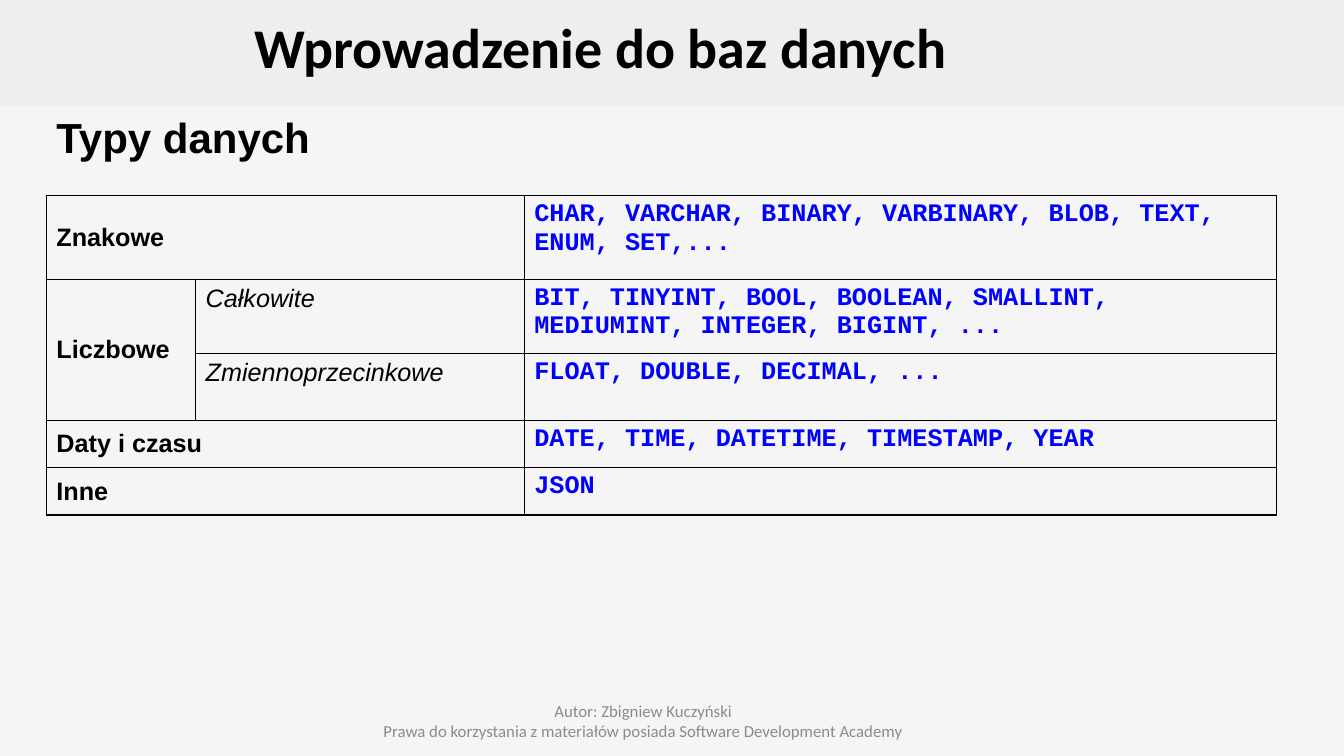
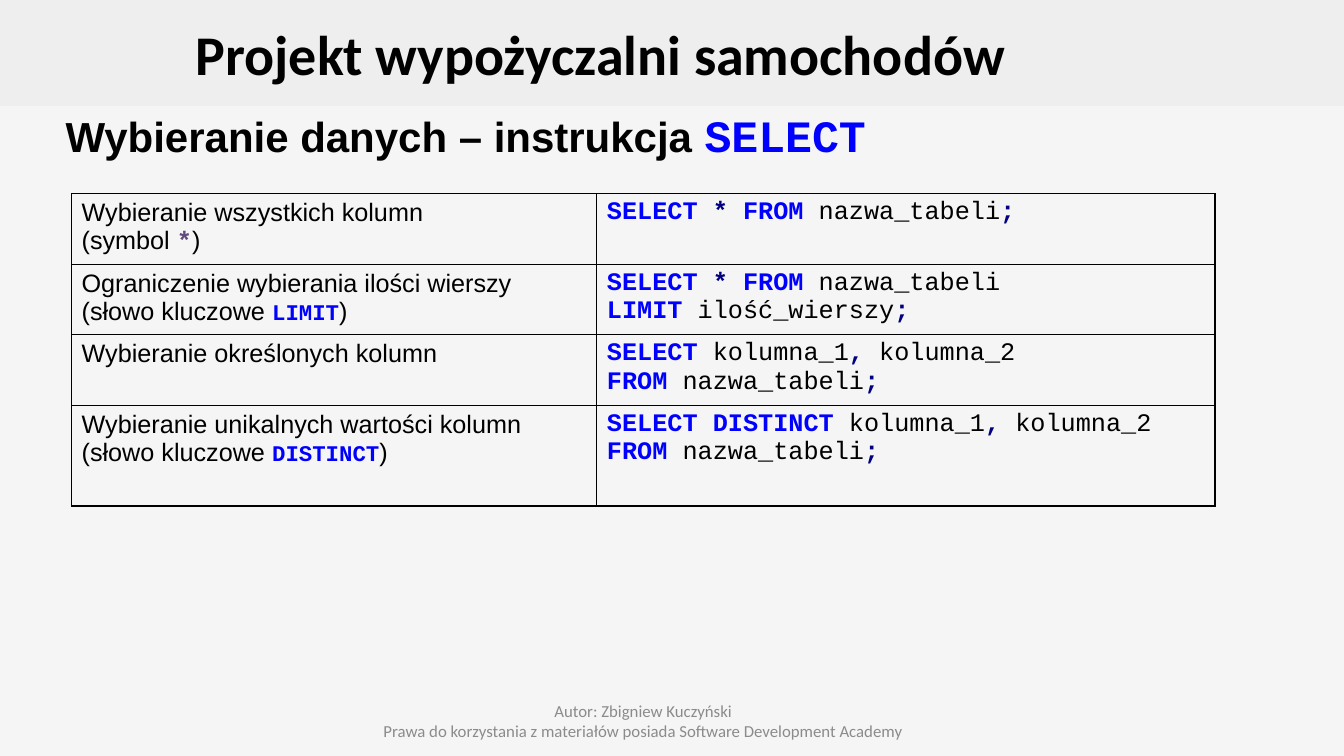
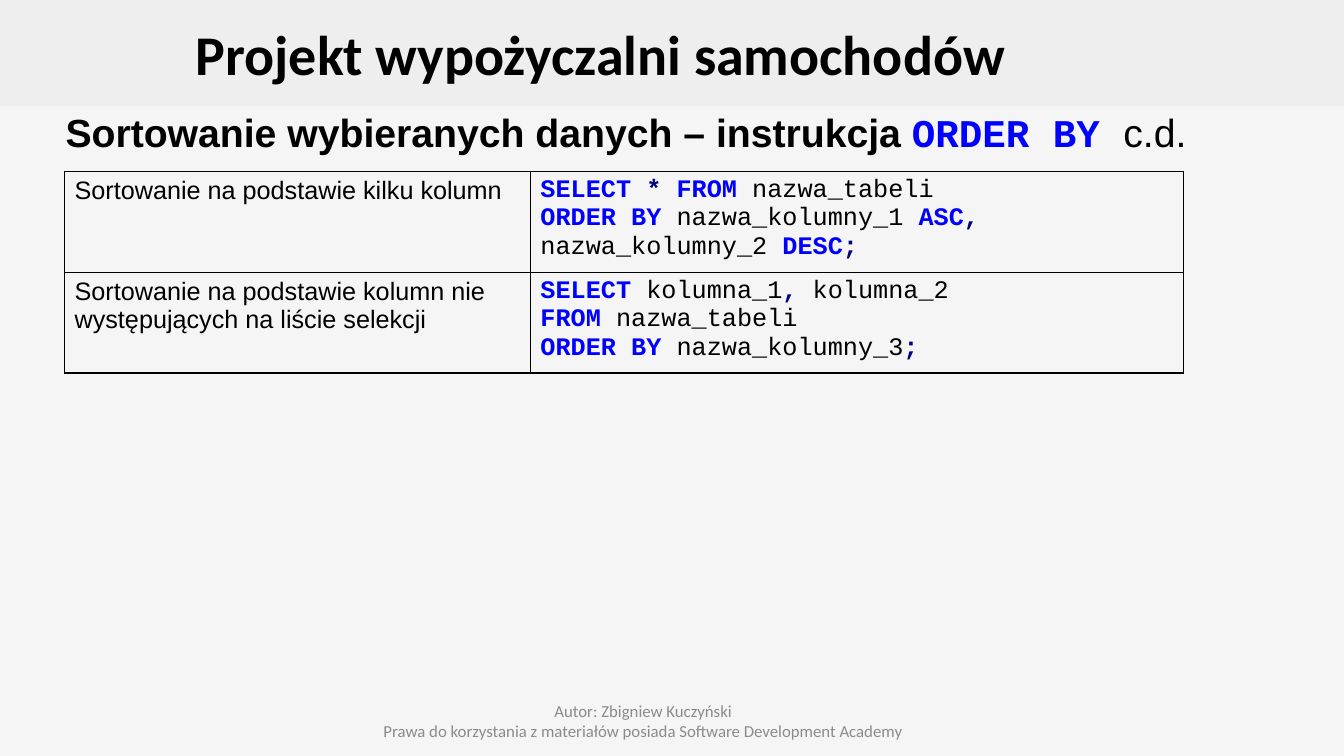
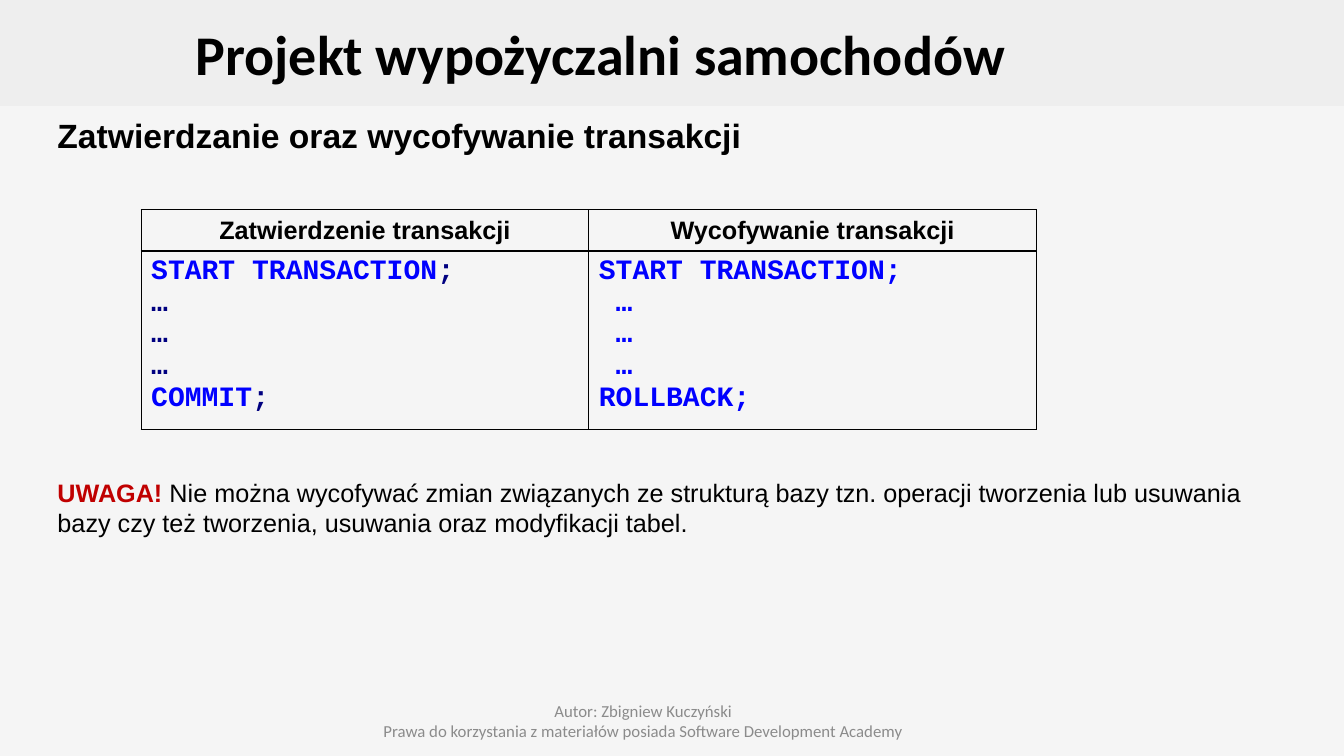
import itertools

import pptx
import pptx.dml.color
import pptx.enum.shapes
import pptx.enum.text
import pptx.oxml
import pptx.oxml.ns
import pptx.util

Inches = pptx.util.Inches
Pt = pptx.util.Pt
MID = pptx.enum.text.MSO_ANCHOR.MIDDLE
MID_ALIGN = pptx.enum.text.PP_ALIGN.CENTER

HUES = {
    "page": "F5F5F5", "band": "EEEEEE", "ink": "000000", "blue": "0000FF",
    "navy": "000080", "plum": "604A7B", "red": "C00000", "gray": "8B8B8B",
}


def style(face, hue, bold=False, italic=False):
    """Return the format of one kind of text."""
    return {"name": face, "hue": hue, "bold": bold, "italic": italic}


STYLES = {
    "title": style("Calibri", "ink", bold=True),
    "foot": style("Calibri", "gray"),
    "text": style("Arial", "ink"),
    "bold": style("Arial", "ink", bold=True),
    "slant": style("Arial", "ink", italic=True),
    "alert": style("Arial", "red", bold=True),
    "key": style("Courier New", "blue", bold=True),
    "op": style("Courier New", "navy", bold=True),
    "star": style("Courier New", "plum", bold=True),
    "name": style("Courier New", "ink"),
}
PROJECT = "Projekt wypożyczalni samochodów"
FOOTER = ["Autor: Zbigniew Kuczyński",
          "Prawa do korzystania z materiałów posiada Software Development Academy"]


def rgb(hue):
    """Return the named colour."""
    return pptx.dml.color.RGBColor.from_string(HUES[hue])


def sql(line):
    """Split a line of SQL into runs of keywords, operators and names."""
    parts = []
    for word in line.split(" "):
        core = word.rstrip(",;")
        kind = "key" if core.isupper() else "op" if core in "*…" else "name"
        tail = word[len(core):]
        parts += [(kind, core), ("op", tail)] if tail else [(kind, core)]
        parts.append((parts[-1][0], " "))
    groups = itertools.groupby(parts[:-1], key=lambda part: part[0])
    return [(kind, "".join(text for _, text in group)) for kind, group in groups]


def code(*lines):
    """Return a cell of SQL lines."""
    return [sql(line) for line in lines]


def plain(kind, *lines):
    """Return a cell of lines in one style."""
    return [[(kind, line)] for line in lines]


def hint(first, kind, word, size):
    """Return a cell with a line and a marked term in brackets below it."""
    lead = "(symbol " if kind == "star" else "(słowo kluczowe "
    return [[("text", first)],
            [("text", lead), (kind, word, size), ("text", ")")]]


def put(frame, lines, size, align=None):
    """Write lines of styled runs into a text frame."""
    for i, line in enumerate(lines):
        para = frame.add_paragraph() if i else frame.paragraphs[0]
        para.space_before = Pt(0)
        para.alignment = align
        for kind, text, *own in line:
            run = para.add_run()
            run.text = text
            run.font.size = Pt(own[0] if own else size)
            for key, value in STYLES[kind].items():
                if key == "hue":
                    run.font.color.rgb = rgb(value)
                else:
                    setattr(run.font, key, value)


def place(shape, box):
    """Move a shape to its box."""
    for key, value in zip(("left", "top", "width", "height"), box):
        setattr(shape, key, Inches(value))


def set_frame(frame, **values):
    """Set the shared frame format, with more values on top."""
    base = {"word_wrap": True, "auto_size": pptx.enum.text.MSO_AUTO_SIZE.NONE}
    for key, value in {**base, **values}.items():
        setattr(frame, key, value)


def add_title(slide, text, box):
    """Fill the title placeholder."""
    place(slide.shapes.title, box)
    frame = slide.shapes.title.text_frame
    set_frame(frame, vertical_anchor=MID)
    put(frame, plain("title", text), 40, MID_ALIGN)


def add_body(slide, lines, size, box, gap=0):
    """Fill the body placeholder, with a gap between its paragraphs."""
    body = slide.placeholders[1]
    place(body, box)
    set_frame(body.text_frame)
    put(body.text_frame, lines, size)
    for i, para in enumerate(body.text_frame.paragraphs):
        para.space_before = Pt(gap if i else 0)
        props = para._p.get_or_add_pPr()
        props.set("marL", "0")
        props.set("indent", "0")
        props.append(pptx.oxml.parse_xml(
            f'<a:buNone {pptx.oxml.ns.nsdecls("a")}/>'))


def add_footer(slide, box):
    """Add the footer lines."""
    foot = slide.shapes.add_textbox(*map(Inches, box))
    set_frame(foot.text_frame, vertical_anchor=MID)
    put(foot.text_frame, plain("foot", *FOOTER), 12, MID_ALIGN)


def frame_cell(cell):
    """Clear the fill of a cell and rule its four sides."""
    cell.fill.background()
    props = cell._tc.get_or_add_tcPr()
    for i, side in enumerate("LRTB"):
        props.insert(i, pptx.oxml.parse_xml(
            f'<a:ln{side} {pptx.oxml.ns.nsdecls("a")} w="12700"><a:solidFill>'
            f'<a:srgbClr val="{HUES["ink"]}"/></a:solidFill></a:ln{side}>'))


def add_grid(slide, spot, cols, rows, cells, spans=(), size=18, head=False):
    """Add a ruled table whose cells hold lines of runs."""
    box = (*spot, sum(cols), sum(rows))
    table = slide.shapes.add_table(len(rows), len(cols), *map(Inches, box)).table
    table.first_row = table.horz_banding = False
    for col, width in zip(table.columns, cols):
        col.width = Inches(width)
    for row, height in zip(table.rows, rows):
        row.height = Inches(height)
    for start, end in spans:
        table.cell(*start).merge(table.cell(*end))
    for r, c in itertools.product(range(len(rows)), range(len(cols))):
        cell, lines = table.cell(r, c), cells[r][c]
        frame_cell(cell)
        if lines:
            top = head and r == 0
            put(cell.text_frame, lines, 18 if top else size,
                MID_ALIGN if top else None)
            if lines[0][0][0] == "bold":
                cell.vertical_anchor = MID


def add_band(deck, slide, box):
    """Set the page colour and put the top band on the master."""
    fill = deck.slide_master.background.fill
    fill.solid()
    fill.fore_color.rgb = rgb("page")
    band = slide.shapes.add_shape(
        pptx.enum.shapes.MSO_SHAPE.RECTANGLE, *map(Inches, box))
    band.shadow.inherit = False
    band.fill.solid()
    band.fill.fore_color.rgb = rgb("band")
    band.line.fill.background()
    deck.slide_master.shapes.element.insert(2, band.element)


def add_page(deck, title=PROJECT, high=1.05):
    """Add a slide with its title and footer."""
    slide = deck.slides.add_slide(deck.slide_layouts[1])
    add_title(slide, title, (0, 0, 11.91, high))
    add_footer(slide, (3.25, 6.95, 6.26, 0.4))
    return slide


def add_types(deck):
    """Build the slide of data types."""
    slide = add_page(deck, "Wprowadzenie do baz danych", 0.91)
    add_band(deck, slide, (0, 0, 13.33, 1.05))
    add_body(slide, plain("bold", "Typy danych"), 30, (0.46, 1.06, 12.3, 5.76))
    cells = [
        [plain("bold", "Znakowe"), None, plain(
            "key", "CHAR, VARCHAR, BINARY, VARBINARY, BLOB, TEXT, ENUM, SET,...")],
        [plain("bold", "Liczbowe"), plain("slant", "Całkowite"), plain(
            "key", "BIT, TINYINT, BOOL, BOOLEAN, SMALLINT, MEDIUMINT, "
                   "INTEGER, BIGINT, ...")],
        [None, plain("slant", "Zmiennoprzecinkowe"),
         plain("key", "FLOAT, DOUBLE, DECIMAL, ...")],
        [plain("bold", "Daty i czasu"), None,
         plain("key", "DATE, TIME, DATETIME, TIMESTAMP, YEAR")],
        [plain("bold", "Inne"), None, plain("key", "JSON")],
    ]
    spans = [((r, 0), (r, 1)) for r in (0, 3, 4)] + [((1, 0), (2, 0))]
    add_grid(slide, (0.46, 1.94), [1.48, 3.26, 7.46],
             [0.83, 0.74, 0.66, 0.47, 0.47], cells, spans)


def add_select(deck):
    """Build the slide on SELECT."""
    slide = add_page(deck)
    add_body(slide, [[("bold", "Wybieranie danych – instrukcja "),
                      ("key", "SELECT", 32)]], 30, (0.55, 1.02, 12.3, 5.76))
    cells = [
        [hint("Wybieranie wszystkich kolumn", "star", "*", 18),
         code("SELECT * FROM nazwa_tabeli;")],
        [hint("Ograniczenie wybierania ilości wierszy", "key", "LIMIT", 16),
         code("SELECT * FROM nazwa_tabeli", "LIMIT ilość_wierszy;")],
        [plain("text", "Wybieranie określonych kolumn"),
         code("SELECT kolumna_1, kolumna_2", "FROM nazwa_tabeli;")],
        [hint("Wybieranie unikalnych wartości kolumn", "key", "DISTINCT", 16),
         code("SELECT DISTINCT kolumna_1, kolumna_2 FROM nazwa_tabeli;")],
    ]
    add_grid(slide, (0.71, 1.92), [5.21, 6.13], [0.7, 0.7, 0.7, 1], cells)


def add_order(deck):
    """Build the slide on ORDER BY."""
    slide = add_page(deck)
    add_body(slide, [[("bold", "Sortowanie wybieranych danych – instrukcja "),
                      ("key", "ORDER BY "), ("text", "c.d.")]],
             28, (0.55, 1.02, 12.3, 3.03))
    cells = [
        [plain("text", "Sortowanie na podstawie kilku kolumn"),
         code("SELECT * FROM nazwa_tabeli",
              "ORDER BY nazwa_kolumny_1 ASC, nazwa_kolumny_2 DESC;")],
        [plain("text", "Sortowanie na podstawie kolumn nie występujących "
                       "na liście selekcji"),
         code("SELECT kolumna_1, kolumna_2", "FROM nazwa_tabeli",
              "ORDER BY nazwa_kolumny_3;")],
    ]
    add_grid(slide, (0.64, 1.7), [4.62, 6.48], [1, 1], cells)


def add_commit(deck):
    """Build the slide on transactions."""
    slide = add_page(deck)
    note = [("alert", "UWAGA! ", 18),
            ("text", "Nie można wycofywać zmian związanych ze strukturą bazy tzn. "
                     "operacji tworzenia lub usuwania bazy czy też tworzenia, "
                     "usuwania oraz modyfikacji tabel.", 18)]
    add_body(slide, [[("bold", "Zatwierdzanie oraz wycofywanie transakcji")], note],
             24, (0.47, 1.09, 12.37, 5.55), gap=230)
    cells = [
        [plain("bold", "Zatwierdzenie transakcji"),
         plain("bold", "Wycofywanie transakcji")],
        [code("START TRANSACTION;", "…", "…", "…", "COMMIT;"),
         plain("key", "START TRANSACTION;", " …", " …", " …", "ROLLBACK;")],
    ]
    add_grid(slide, (1.4, 2.08), [4.44, 4.44], [0.41, 1.77], cells,
             size=20, head=True)


def main():
    """Build and save the deck."""
    deck = pptx.Presentation()
    deck.slide_width, deck.slide_height = Inches(13.33), Inches(7.5)
    for build in (add_types, add_select, add_order, add_commit):
        build(deck)
    deck.save("out.pptx")


if __name__ == "__main__":
    main()
